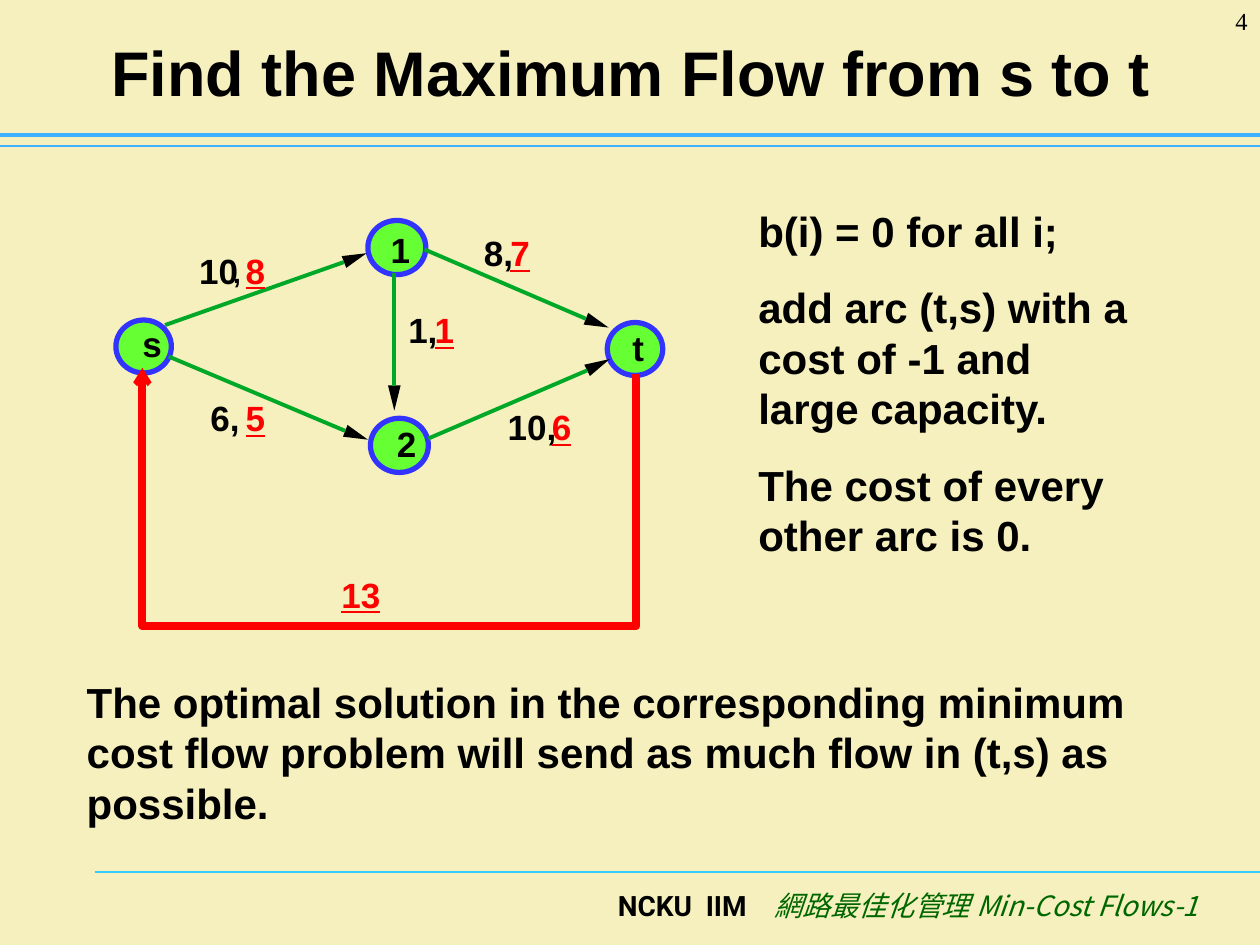
from math import hypot

from lxml.etree import SubElement
from pptx import Presentation
from pptx.dml.color import RGBColor
from pptx.enum.shapes import MSO_CONNECTOR, MSO_SHAPE
from pptx.enum.text import MSO_ANCHOR, MSO_AUTO_SIZE, PP_ALIGN
from pptx.oxml.ns import qn
from pptx.util import Inches, Pt

CREAM = RGBColor(0xF5, 0xF0, 0xBD)
SKY = RGBColor(0x33, 0xCC, 0xFF)
BLUE = RGBColor(0x3D, 0xB0, 0xFF)
BLACK = RGBColor(0, 0, 0)
RED = RGBColor(0xFF, 0, 0)
DARK_GREEN = RGBColor(0, 0x66, 0)
NODE_FILL = RGBColor(0x66, 0xFF, 0x33)
NODE_LINE = RGBColor(0x33, 0x33, 0xFF)
ARC_GREEN = RGBColor(0, 0xA8, 0x28)

TITLE = "Find the Maximum Flow from s to t"
NOTES = [
    "b(i) = 0 for all i;",
    "add arc (t,s) with a cost of -1 and large capacity.",
    "The cost of every other arc is 0.",
]
CONCLUSION = [
    "The optimal solution in the corresponding minimum cost flow problem "
    "will send as much flow in (t,s) as possible."
]
# start, end, colour, width in points
RULES = [
    ((0.75, 6.92), (10, 6.92), SKY, 0.75),
    ((0, 1.16), (10, 1.16), BLUE, 0.75),
    ((0, 1.07), (10, 1.07), BLUE, 2.5),
]
# name, ellipse box, label box
NODES = [
    ("s", (0.92, 2.54, 0.44, 0.42), (1.13, 2.56, 0.16, 0.33)),
    ("1", (2.92, 1.75, 0.46, 0.43), (3.1, 1.81, 0.16, 0.33)),
    ("2", (2.94, 3.32, 0.46, 0.43), (3.15, 3.35, 0.16, 0.33)),
    ("t", (4.82, 2.56, 0.44, 0.42), (5.02, 2.59, 0.1, 0.33)),
]
# start, end of line, tip of arrowhead
ARCS = [
    ((1.31, 2.58), (2.73, 2.08), (2.91, 2.01)),
    ((1.34, 2.83), (2.74, 3.42), (2.92, 3.49)),
    ((3.37, 1.98), (4.65, 2.53), (4.83, 2.6)),
    ((3.4, 3.48), (4.66, 2.94), (4.84, 2.85)),
    ((3.13, 2.17), (3.13, 3.06), (3.13, 3.26)),
]
HEAD_HALF_WIDTH = 0.05
# text, left, top, width
CAPACITIES = [
    ("10", 1.58, 1.98, 0.32),
    ("8,", 3.84, 1.84, 0.25),
    ("1,", 3.24, 2.45, 0.25),
    ("10,", 4.03, 3.22, 0.4),
    ("6,", 1.67, 3.15, 0.31),
]
FLOWS = [
    ("8", 1.95, 1.98, 0.16),
    ("7", 4.05, 1.84, 0.16),
    ("1", 3.45, 2.45, 0.16),
    ("6", 4.38, 3.22, 0.16),
    ("5", 1.95, 3.15, 0.16),
    ("13", 2.71, 4.55, 0.32),
]
LABEL_HEIGHT = 0.33
RETURN_ARC = [(5.05, 2.97), (5.05, 4.97), (1.13, 4.97), (1.13, 2.97)]


def add_run(paragraph, text, size, color=BLACK, name="Arial", bold=True,
            italic=False, underline=False):
    run = paragraph.add_run()
    run.text = text
    font = run.font
    font.size, font.bold, font.italic = Pt(size), bold, italic
    font.underline = underline
    font.color.rgb = color
    font.name = name
    return run


def add_text_box(slide, box):
    shape = slide.shapes.add_textbox(*map(Inches, box))
    shape.text_frame.word_wrap = True
    return shape.text_frame


def add_label(slide, text, box, size=20, **style):
    """Add a one-line label without margins."""
    frame = add_text_box(slide, box)
    frame.margin_left = frame.margin_right = 0
    frame.margin_top = frame.margin_bottom = 0
    frame.word_wrap = False
    frame.auto_size = MSO_AUTO_SIZE.SHAPE_TO_FIT_TEXT
    add_run(frame.paragraphs[0], text, size, **style)


def add_body(slide, texts, box):
    frame = add_text_box(slide, box)
    frame.auto_size = MSO_AUTO_SIZE.SHAPE_TO_FIT_TEXT
    for index, text in enumerate(texts):
        paragraph = frame.add_paragraph() if index else frame.paragraphs[0]
        paragraph.space_before = Pt(15)
        add_run(paragraph, text, 24)


def add_line(slide, start, end, color, width):
    line = slide.shapes.add_connector(
        MSO_CONNECTOR.STRAIGHT, *map(Inches, start + end))
    line.line.color.rgb = color
    line.line.width = Pt(width)
    SubElement(line._element.spPr, qn("a:effectLst"))
    return line


def add_outline(slide, points, close):
    corners = [(Inches(x), Inches(y)) for x, y in points]
    builder = slide.shapes.build_freeform(*corners[0])
    builder.add_line_segments(corners[1:], close=close)
    shape = builder.convert_to_shape()
    shape.shadow.inherit = False
    return shape


def add_arc(slide, start, end, tip):
    """Draw a green line whose black head spans from the line end to the tip."""
    length = hypot(tip[0] - end[0], tip[1] - end[1])
    across_x = -(tip[1] - end[1]) / length * HEAD_HALF_WIDTH
    across_y = (tip[0] - end[0]) / length * HEAD_HALF_WIDTH
    head = add_outline(slide, [
        tip,
        (end[0] + across_x, end[1] + across_y),
        (end[0] - across_x, end[1] - across_y),
    ], close=True)
    head.fill.solid()
    head.fill.fore_color.rgb = BLACK
    head.line.fill.background()
    add_line(slide, start, end, ARC_GREEN, 2.25)


def add_node(slide, name, box, label_box):
    node = slide.shapes.add_shape(MSO_SHAPE.OVAL, *map(Inches, box))
    node.shadow.inherit = False
    node.fill.solid()
    node.fill.fore_color.rgb = NODE_FILL
    node.line.color.rgb = NODE_LINE
    node.line.width = Pt(3)
    add_label(slide, name, label_box)


def add_return_arc(slide):
    outline = add_outline(slide, RETURN_ARC, close=False)
    outline.fill.background()
    outline.line.color.rgb = RED
    outline.line.width = Pt(4.5)
    arrow = add_line(slide, (1.13, 3.33), (1.13, 2.92), RED, 3)
    SubElement(arrow.line._get_or_add_ln(), qn("a:tailEnd"), type="arrow")


def add_title(slide):
    title = slide.shapes.title
    title.left, title.top, title.width, title.height = map(
        Inches, (0.51, 0.13, 9, 0.87))
    title.text_frame.vertical_anchor = MSO_ANCHOR.MIDDLE
    paragraph = title.text_frame.paragraphs[0]
    paragraph.alignment = PP_ALIGN.CENTER
    add_run(paragraph, TITLE, 36)


def add_footer(slide):
    paragraph = add_text_box(slide, (1.83, 7, 7.78, 0.5)).paragraphs[0]
    paragraph.alignment = PP_ALIGN.RIGHT
    add_run(paragraph, "NCKU  IIM    ", 16, name="Roboto")
    course = add_run(paragraph, "網路最佳化管理 Min-Cost Flows-1", 16, DARK_GREEN,
                     "Noto Sans CJK SC", bold=False, italic=True)
    SubElement(course._r.get_or_add_rPr(), qn("a:ea"), typeface="Noto Sans CJK SC")
    number = add_text_box(slide, (9.17, 0, 0.83, 0.5)).paragraphs[0]
    number.alignment = PP_ALIGN.RIGHT
    add_run(number, "4", 14, name="Times New Roman", bold=False)


def main():
    presentation = Presentation()
    presentation.slide_width, presentation.slide_height = Inches(10), Inches(7.5)
    slide = presentation.slides.add_slide(presentation.slide_layouts[5])
    slide.background.fill.solid()
    slide.background.fill.fore_color.rgb = CREAM

    for rule in RULES:
        add_line(slide, *rule)
    add_title(slide)
    add_footer(slide)
    for node in NODES:
        add_node(slide, *node)
    for arc in ARCS:
        add_arc(slide, *arc)
    for text, *place in CAPACITIES:
        add_label(slide, text, (*place, LABEL_HEIGHT))
    add_label(slide, ",", (1.85, 2.03, 0.12, 0.27), size=16)
    add_return_arc(slide)
    for text, *place in FLOWS:
        add_label(slide, text, (*place, LABEL_HEIGHT), color=RED, underline=True)
    add_body(slide, NOTES, (5.92, 1.58, 3.25, 2.92))
    add_body(slide, CONCLUSION, (0.59, 5.32, 8.67, 1.3))
    presentation.save("out.pptx")


if __name__ == "__main__":
    main()
